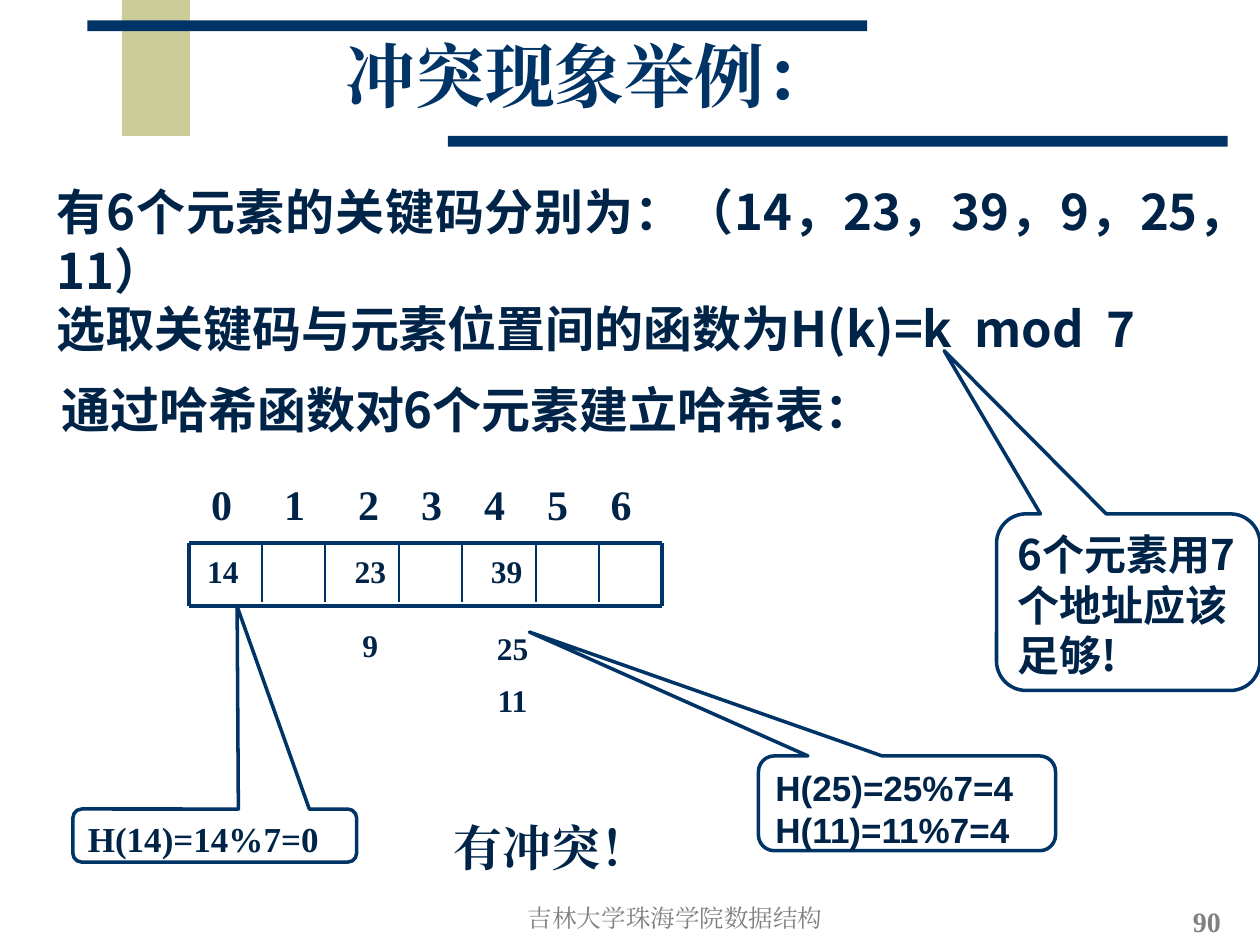
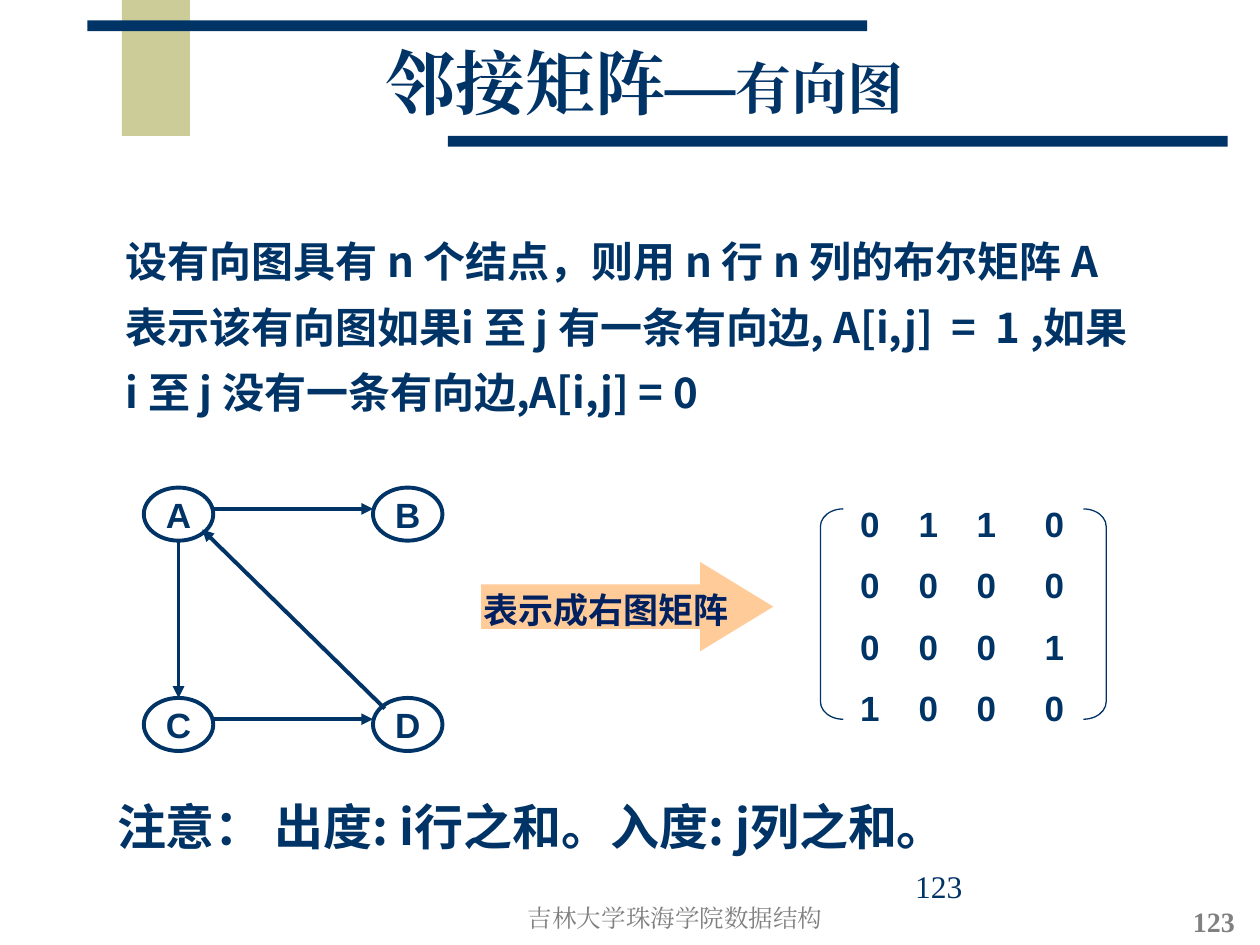
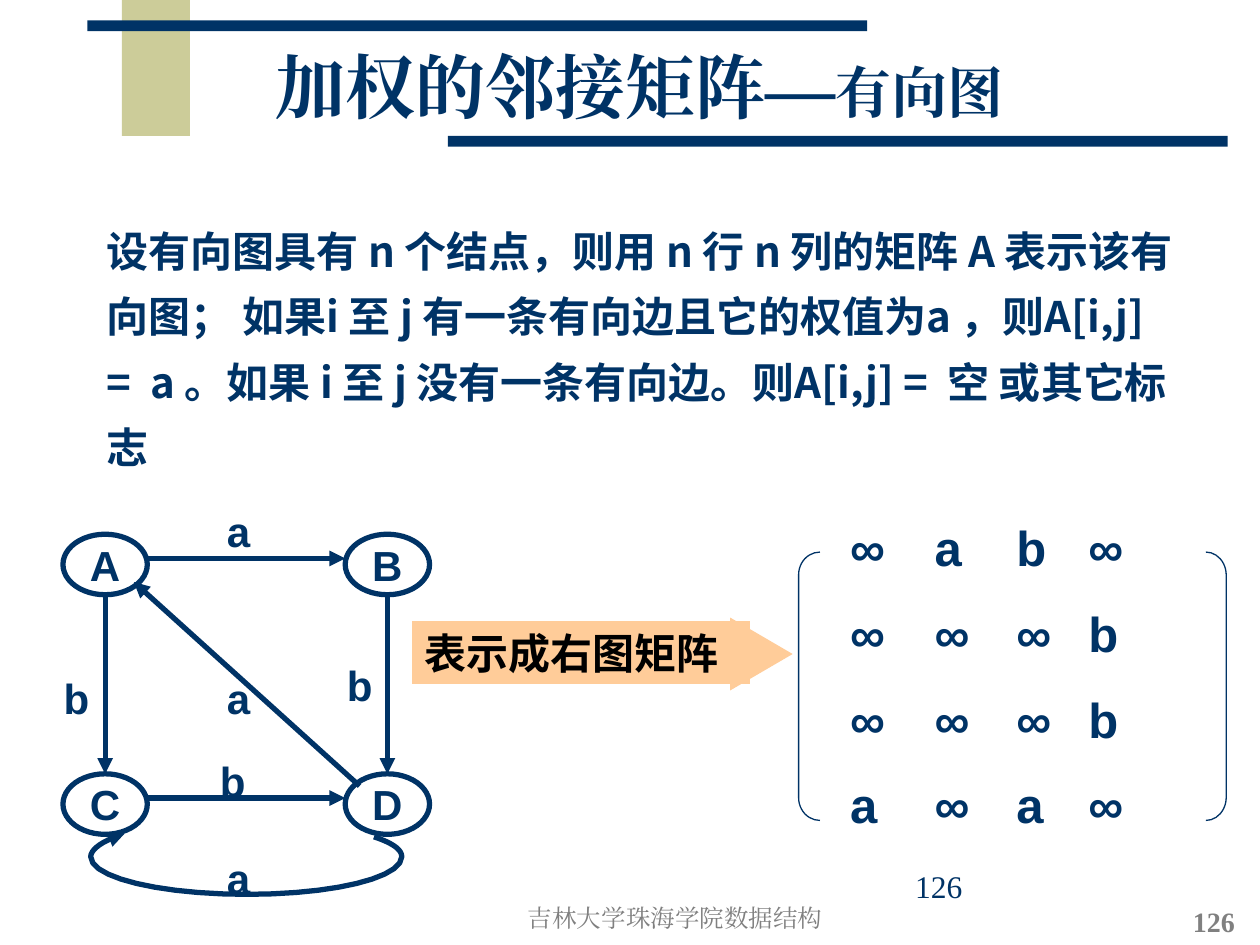
from pptx import Presentation
from pptx.dml.color import RGBColor
from pptx.enum.shapes import MSO_CONNECTOR, MSO_SHAPE
from pptx.enum.text import MSO_ANCHOR, PP_ALIGN
from pptx.oxml.ns import qn
from pptx.util import Cm, Pt
from lxml import etree

# Colours
NAVY = RGBColor(0x00, 0x33, 0x66)
INK = RGBColor(0x00, 0x24, 0x48)
DEEP_BLUE = RGBColor(0x00, 0x20, 0x60)
BLACK = RGBColor(0x00, 0x00, 0x00)
GREY = RGBColor(0x80, 0x80, 0x80)
KHAKI = RGBColor(0xCC, 0xCC, 0x99)
PEACH = RGBColor(0xFF, 0xCC, 0x99)

# Fonts
SERIF = "Times New Roman"
SANS = "Arial"
CHINESE = "Noto Sans CJK SC"

# Enum members
LEFT, CENTER, JUSTIFY = PP_ALIGN.LEFT, PP_ALIGN.CENTER, PP_ALIGN.JUSTIFY
TOP, MIDDLE, BOTTOM = MSO_ANCHOR.TOP, MSO_ANCHOR.MIDDLE, MSO_ANCHOR.BOTTOM
STRAIGHT = MSO_CONNECTOR.STRAIGHT
RECTANGLE = MSO_SHAPE.RECTANGLE
OVAL = MSO_SHAPE.OVAL
RIGHT_ARROW = MSO_SHAPE.RIGHT_ARROW
CALLOUT = MSO_SHAPE.ROUNDED_RECTANGULAR_CALLOUT
LEFT_BRACKET, RIGHT_BRACKET = MSO_SHAPE.LEFT_BRACKET, MSO_SHAPE.RIGHT_BRACKET

FOOTER = "吉林大学珠海学院数据结构"

# Edges of a graph: end points as fractions of the node's width and height
EDGES = {
    "AB": ((1, 0.4), (0, 0.4)),
    "CD": ((1, 0.4), (0, 0.4)),
    "AC": ((0.5, 1), (0.5, 0)),
    "BD": ((0.5, 1), (0.5, 0)),
    "DA": ((0.17, 0.2), (0.84, 0.79)),
}


# Text
def format_span(span, size, font, color, bold=True):
    span.font.size = Pt(size)
    span.font.name = font
    span.font.bold = bold
    span.font.color.rgb = color
    properties = span.font._element
    properties.set("lang", "zh-CN")
    latin = properties.find(qn("a:latin"))
    east_asian = etree.Element(qn("a:ea"), typeface=font)
    latin.addnext(east_asian)


def add_tabs(para, stops, kind):
    tab_list = etree.SubElement(para._p.get_or_add_pPr(), qn("a:tabLst"))
    for stop in stops:
        etree.SubElement(tab_list, qn("a:tab"), pos=str(Cm(stop)), algn=kind)


def write(shape, text, size, font, color, bold=True, align=LEFT, anchor=TOP,
          spacing=None, gap=0, wrap=True, tabs=(), tab_kind="l"):
    frame = shape.text_frame
    frame.text = text
    frame.word_wrap = wrap
    frame.vertical_anchor = anchor
    for index, para in enumerate(frame.paragraphs):
        para.alignment = align
        if spacing:
            para.line_spacing = spacing
        if index and gap:
            para.space_before = Pt(gap)
        if tabs:
            add_tabs(para, tabs, tab_kind)
        for span in para.runs:
            format_span(span, size, font, color, bold)


def add_text(page, place, text, size, font, color, **options):
    box = page.shapes.add_textbox(*map(Cm, place))
    write(box, text, size, font, color, **options)
    return box


# Shapes and lines
def add_shape(page, kind, place, fill=None, line=None, adjust=()):
    shape = page.shapes.add_shape(kind, *map(Cm, place))
    style_outline(shape, fill, line)
    for index, value in enumerate(adjust):
        shape.adjustments[index] = value
    return shape


def style_outline(shape, fill, line):
    shape.shadow.inherit = False
    if fill:
        shape.fill.solid()
        shape.fill.fore_color.rgb = fill
    else:
        shape.fill.background()
    if line:
        shape.line.color.rgb = NAVY
        shape.line.width = Pt(line)
    else:
        shape.line.fill.background()


def add_arrowhead(shape):
    etree.SubElement(shape.line._get_or_add_ln(), qn("a:tailEnd"), type="triangle")


def add_line(page, start, end, width, arrow=False):
    line = page.shapes.add_connector(STRAIGHT, *map(Cm, (*start, *end)))
    line.line.color.rgb = NAVY
    line.line.width = Pt(width)
    if arrow:
        add_arrowhead(line)
    etree.SubElement(line._element.spPr, qn("a:effectLst"))


def add_curved_arrow(page, start, curves, width, steps=10):
    """Draw a chain of cubic curves, each given as two controls and an end."""
    points = []
    current = start
    for first, second, end in curves:
        for step in range(1, steps + 1):
            t = step / steps
            weights = ((1 - t) ** 3, 3 * t * (1 - t) ** 2, 3 * t * t * (1 - t), t ** 3)
            corners = (current, first, second, end)
            points.append(tuple(
                Cm(sum(w * corner[axis] for w, corner in zip(weights, corners)))
                for axis in (0, 1)))
        current = end
    builder = page.shapes.build_freeform(Cm(start[0]), Cm(start[1]))
    builder.add_line_segments(points, close=False)
    curve = builder.convert_to_shape()
    style_outline(curve, None, width)
    add_arrowhead(curve)


# Content elements
def add_callout(page, place, adjust, text, size, font):
    callout = add_shape(page, CALLOUT, place, line=2, adjust=(*adjust, 0.167))
    write(callout, text, size, font, INK)


def add_graph(page, origin, node_size, step, edges, size, width):
    node_width, node_height = node_size
    corners = {
        name: (origin[0] + index % 2 * step[0], origin[1] + index // 2 * step[1])
        for index, name in enumerate("ABCD")
    }
    for name, corner in corners.items():
        node = add_shape(page, OVAL, (*corner, *node_size), line=width)
        write(node, name, size, SANS, NAVY, align=CENTER, anchor=MIDDLE, wrap=False)
    for edge in edges:
        start, end = (
            (corners[name][0] + x * node_width, corners[name][1] + y * node_height)
            for name, (x, y) in zip(edge, EDGES[edge]))
        add_line(page, start, end, width, arrow=True)


def add_matrix(page, place, rows, size, tabs, brackets):
    for kind, bracket, roundness in brackets:
        add_shape(page, kind, bracket, line=0.75, adjust=(roundness,))
    text = "\n".join("\t".join(row.split()) for row in rows)
    add_text(page, place, text, size, SANS, NAVY, gap=size * 0.55, tabs=tabs)


def add_title(page, place, text, subject="", align=CENTER):
    box = add_text(page, place, text, 40, SERIF, NAVY, align=align,
                   anchor=MIDDLE, spacing=0.85)
    if subject:
        span = box.text_frame.paragraphs[0].add_run()
        span.text = subject
        format_span(span, 32, SERIF, NAVY)


def add_page(deck, number, inner_number=False):
    page = deck.slides.add_slide(deck.slide_layouts[6])
    add_shape(page, RECTANGLE, (2.46, 0, 1.37, 2.74), fill=KHAKI)
    for left, top in ((1.76, 0.41), (9.03, 2.74)):
        add_shape(page, RECTANGLE, (left, top, 15.72, 0.22), fill=NAVY)
    add_text(page, (23.8, 18.11, 1.6, 0.94), number, 16, SERIF, GREY)
    if inner_number:
        add_text(page, (18.2, 17.35, 5.3, 1.27), number, 18, SERIF, NAVY, bold=False)
    add_text(page, (10.34, 17.65, 6.55, 1.27), FOOTER, 14, SERIF, GREY,
             bold=False, align=CENTER, anchor=BOTTOM)
    return page


# Pages
def build_collision_page(deck):
    page = add_page(deck, "90")
    add_title(page, (6.71, 0.91, 10.8, 1.47), "冲突现象举例：", align=LEFT)
    add_text(page, (0.89, 3.53, 24.51, 2.31),
             "有6个元素的关键码分别为：（14，23，39，9，25，11）\n"
             "选取关键码与元素位置间的函数为H(k)=k  mod  7",
             28, CHINESE, INK, align=JUSTIFY)
    add_text(page, (0.99, 7.52, 17.04, 1.45), "通过哈希函数对6个元素建立哈希表：",
             28, CHINESE, INK)

    # Hash table: addresses, frame and cell borders
    add_text(page, (3.81, 9.53, 9.73, 1.27), "\t" + "\t".join("0123456"),
             24, SERIF, INK, tabs=(0.41, 1.88, 3.37, 4.64, 5.91, 7.18, 8.46),
             tab_kind="ctr")
    left, right, top, bottom = 3.81, 13.34, 10.95, 12.22
    for y in (top, bottom):
        add_line(page, (left, y), (right, y), 2.25)
    for x in (left, right):
        add_line(page, (x, top), (x, bottom), 2.25)
    for x in (5.28, 6.55, 8.05, 9.32, 10.8, 12.07):
        add_line(page, (x, top), (x, 12.14), 1)

    # Keys in and below the cells
    for key, x, y in (("14", 3.81, 11), ("23", 6.78, 11), ("39", 9.53, 11),
                      ("9", 6.78, 12.5), ("25", 9.65, 12.55), ("11", 9.65, 13.61)):
        add_text(page, (x, y, 1.37, 1.19), key, 18, SERIF, INK, align=CENTER)

    add_callout(page, (20.09, 10.36, 5.31, 3.56), (-0.699, -1.424),
                "6个元素用7个地址应该足够!", 24, CHINESE)
    add_callout(page, (1.47, 16.31, 5.72, 1.07), (0.079, -4.317),
                "H(14)=14%7=0", 20, SERIF)
    add_callout(page, (15.29, 15.24, 5.99, 1.91), (-1.271, -1.808),
                "H(25)=25%7=4\nH(11)=11%7=4", 20, SANS)
    add_text(page, (8.89, 15.88, 5, 1.73), "有冲突！", 28, SERIF, INK, spacing=1.4)


def build_matrix_page(deck):
    page = add_page(deck, "123", inner_number=True)
    add_title(page, (3.4, 0.84, 19.18, 1.88), "邻接矩阵—", "有向图")
    add_text(page, (2.29, 4.32, 20.75, 4.22),
             "设有向图具有 n 个结点，则用 n 行 n 列的布尔矩阵 A 表示该有向图如果i 至 j "
             "有一条有向边, A[i,j]  =  1 ,如果 i 至 j 没有一条有向边,A[i,j] = 0",
             24, CHINESE, NAVY, spacing=1.3)
    add_graph(page, (2.9, 9.83), (1.4, 1.07), (4.62, 4.24),
              ("AB", "CD", "AC", "DA"), 20, 2.25)
    add_shape(page, RIGHT_ARROW, (9.7, 11.33, 5.89, 1.8), fill=PEACH, adjust=(0.5, 0.819))
    add_text(page, (9.5, 11.73, 5.99, 1.09), "表示成右图矩阵", 20, SANS, DEEP_BLUE)
    add_matrix(page, (17.09, 10.01, 4.85, 4.9),
               ("0 1 1 0", "0 0 0 0", "0 0 0 1", "1 0 0 0"), 20, (1.18, 2.35, 3.72),
               ((LEFT_BRACKET, (16.54, 10.26, 0.46, 4.24), 0.762),
                (RIGHT_BRACKET, (21.84, 10.26, 0.46, 4.24), 0.762)))
    add_text(page, (2.11, 15.93, 21.79, 1.45), "注意： 出度: i行之和。入度: j列之和。",
             28, CHINESE, NAVY)


def build_weighted_page(deck):
    page = add_page(deck, "126", inner_number=True)
    add_title(page, (3.3, 0.91, 19.18, 1.88), "加权的邻接矩阵—", "有向图")
    add_text(page, (1.9, 4.11, 22.17, 5.54),
             "设有向图具有 n 个结点，则用 n 行 n 列的矩阵 A 表示该有向图； 如果i 至 j "
             "有一条有向边且它的权值为a ，则A[i,j]  =  a 。如果 i 至 j 没有一条有向边。"
             "则A[i,j] =  空 或其它标志",
             24, CHINESE, NAVY, spacing=1.3)
    add_shape(page, RIGHT_ARROW, (10.9, 12.45, 5.08, 1.47), fill=PEACH, adjust=(0.5, 0.857))
    label = add_shape(page, RECTANGLE, (8.31, 12.52, 6.81, 1.27), fill=PEACH)
    write(label, "表示成右图矩阵", 24, SANS, BLACK)
    add_matrix(page, (16.89, 10.31, 7.21, 6.78),
               ("∞ a b ∞", "∞ ∞ ∞ b", "∞ ∞ ∞ b", "a ∞ a ∞"), 28, (1.7, 3.35, 4.8),
               ((LEFT_BRACKET, (16.1, 11.13, 0.43, 5.41), 1.063),
                (RIGHT_BRACKET, (24.31, 11.13, 0.41, 5.41), 1.134)))

    # Graph, the curved edge from D to C, and the weights
    add_graph(page, (1.27, 10.77), (1.7, 1.22), (5.69, 4.83),
              ("AB", "CD", "BD", "DA", "AC"), 24, 3)
    add_curved_arrow(page, (7.54, 16.87), (
        ((7.9, 16.99), (8.1, 17.12), (8.1, 17.27)),
        ((8.1, 17.7), (6.71, 18.03), (4.98, 18.03)),
        ((3.25, 18.03), (1.83, 17.7), (1.83, 17.27)),
        ((1.83, 17.12), (2.08, 16.94), (2.51, 16.81))), 3)
    for weight, x, y, width in (("a", 3.25, 10.06, 3.12), ("a", 3.25, 17.07, 3.12),
                                ("a", 3.25, 13.44, 3.12), ("b", 0.69, 13.44, 1.7),
                                ("b", 6.4, 13.18, 1.7), ("b", 3.84, 15.11, 1.7)):
        add_text(page, (x, y, width, 1.27), weight, 24, SANS, NAVY, align=CENTER)


def main():
    deck = Presentation()
    deck.slide_width, deck.slide_height = Cm(25.4), Cm(19.05)
    build_collision_page(deck)
    build_matrix_page(deck)
    build_weighted_page(deck)
    deck.save("out.pptx")


if __name__ == "__main__":
    main()
